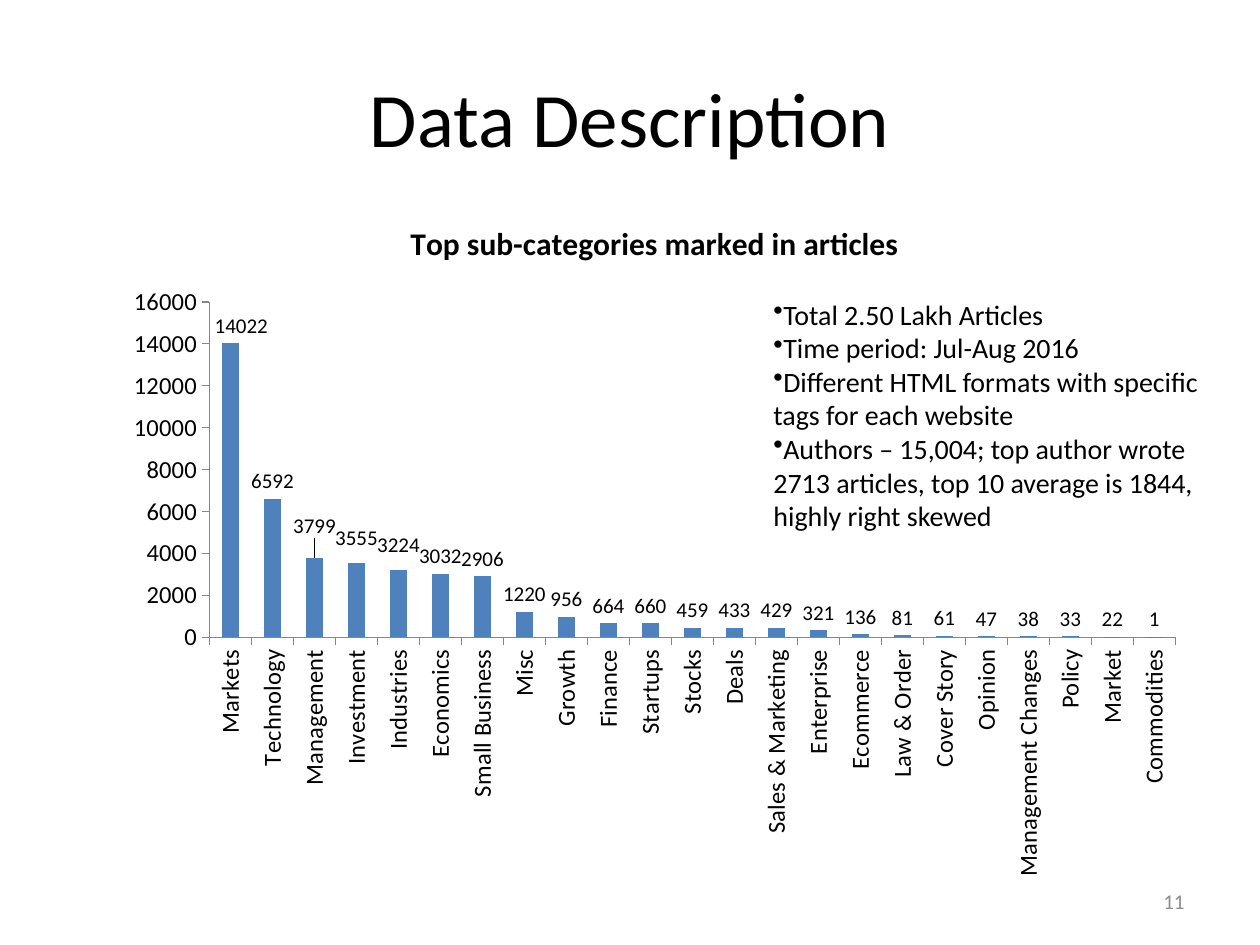
import dataclasses

import lxml.etree
import pptx
import pptx.chart.data
import pptx.dml.color
import pptx.enum.chart
import pptx.enum.text
import pptx.oxml.ns
import pptx.util

Inches = pptx.util.Inches
Align = pptx.enum.text.PP_ALIGN
Anchor = pptx.enum.text.MSO_ANCHOR
Kind = pptx.enum.chart
qn = pptx.oxml.ns.qn

DATA = {
    "Markets": 14022, "Technology": 6592, "Management": 3799,
    "Investment": 3555, "Industries": 3224, "Economics": 3032,
    "Small Business": 2906, "Misc": 1220, "Growth": 956, "Finance": 664,
    "Startups": 660, "Stocks": 459, "Deals": 433, "Sales & Marketing": 429,
    "Enterprise": 321, "Ecommerce": 136, "Law & Order": 81,
    "Cover Story": 61, "Opinion": 47, "Management Changes": 38,
    "Policy": 33, "Market": 22, "Commodities": 1,
}
SHIFTS = {0: (0.01, 0), 2: (0, -0.02), 3: (0, -0.01), 4: (0, -0.01)}
FACTS = [
    "Total 2.50 Lakh Articles",
    "Time period: Jul-Aug 2016",
    "Different HTML formats with specific tags for each website",
    "Authors – 15,004; top author wrote 2713 articles, "
    "top 10 average is 1844, highly right skewed",
]


@dataclasses.dataclass
class Theme:
    """Colours, font and type sizes."""
    font: str = "Calibri"
    ink: str = "000000"
    grey: str = "8C8C8C"
    line: str = "878787"
    bar: str = "4F81BD"
    title: int = 44
    head: int = 18
    body: int = 16
    axis: int = 14
    label: int = 12


def apply(item, values):
    """Set each attribute named in a dict."""
    for name, value in values.items():
        setattr(item, name, value)


class Deck:
    """Hold the theme and the current slide."""

    def __init__(self, theme, slide):
        self.theme = theme
        self.slide = slide

    def style(self, font, size, color=None, bold=False):
        apply(font, {"name": self.theme.font, "size": pptx.util.Pt(size),
                     "bold": bold})
        font.color.rgb = pptx.dml.color.RGBColor.from_string(
            color or self.theme.ink)

    def title(self, text, box):
        shape = self.slide.shapes.title
        apply(shape, dict(zip(("left", "top", "width", "height"),
                              map(Inches, box))))
        shape.text_frame.vertical_anchor = Anchor.MIDDLE
        para = shape.text_frame.paragraphs[0]
        apply(para, {"text": text, "alignment": Align.CENTER})
        self.style(para.runs[0].font, self.theme.title)

    def text(self, lines, box, size, color=None, bullet=None, **form):
        frame = self.slide.shapes.add_textbox(*map(Inches, box)).text_frame
        apply(frame, {"word_wrap": True,
                      "vertical_anchor": form.get("anchor", Anchor.TOP)})
        frame.text = "\n".join(lines)
        for para in frame.paragraphs:
            para.alignment = form.get("align", Align.LEFT)
            self.style(para.runs[0].font, size, color)
            if bullet:
                props = para._p.get_or_add_pPr()
                lxml.etree.SubElement(props, qn("a:buChar"), char=bullet)

    def axis(self, axis, **values):
        apply(axis, {"has_major_gridlines": False,
                     "major_tick_mode": None} | values)
        self.style(axis.tick_labels.font, self.theme.axis)
        axis.format.line.color.rgb = pptx.dml.color.RGBColor.from_string(
            self.theme.line)

    def shift(self, chart, moves):
        for index, move in moves.items():
            label = chart.plots[0].series[0].points[index].data_label
            self.style(label.font, self.theme.label)
            mark = chart.element.xpath(
                f".//c:dLbl/c:idx[@val='{index}']")[0]
            layout = lxml.etree.Element(qn("c:layout"))
            manual = lxml.etree.SubElement(layout, qn("c:manualLayout"))
            for name, value in zip("xy", move):
                lxml.etree.SubElement(manual, qn("c:" + name),
                                      val=str(value))
            mark.addnext(layout)

    def chart(self, title, data, box, moves):
        source = pptx.chart.data.CategoryChartData()
        source.categories = list(data)
        source.add_series("Series 1", list(data.values()))
        chart = self.slide.shapes.add_chart(
            Kind.XL_CHART_TYPE.COLUMN_CLUSTERED,
            *map(Inches, box), source).chart
        self.style(chart.font, 10)
        apply(chart, {"has_legend": False, "has_title": True})
        chart.chart_title.text_frame.text = title
        run = chart.chart_title.text_frame.paragraphs[0].runs[0]
        self.style(run.font, self.theme.head, bold=True)
        tick = {"major_tick_mark": Kind.XL_TICK_MARK.OUTSIDE}
        self.axis(chart.category_axis, **tick)
        self.axis(chart.value_axis, minimum_scale=0, maximum_scale=16000,
                  major_unit=2000, **tick)
        body = chart.element.xpath(".//c:catAx/c:txPr/a:bodyPr")[0]
        apply_xml = {"rot": "-5400000", "vert": "horz"}
        for name, value in apply_xml.items():
            body.set(name, value)
        apply(chart.plots[0], {"gap_width": 150, "vary_by_categories": False})
        series = chart.plots[0].series[0]
        series.format.fill.solid()
        series.format.fill.fore_color.rgb = (
            pptx.dml.color.RGBColor.from_string(self.theme.bar))
        labels = series.data_labels
        apply(labels, {"show_value": True,
                       "position": Kind.XL_LABEL_POSITION.OUTSIDE_END})
        self.style(labels.font, self.theme.label)
        self.shift(chart, moves)


def main():
    """Build the slide."""
    show = pptx.Presentation()
    apply(show, {"slide_width": Inches(10), "slide_height": Inches(7.5)})
    theme = Theme()
    deck = Deck(theme, show.slides.add_slide(show.slide_layouts[5]))
    deck.title("Data Description", (0.5, 0.3, 9, 1.25))
    deck.text(["11"], (7.17, 6.95, 2.33, 0.4), theme.label, theme.grey,
              align=Align.RIGHT, anchor=Anchor.MIDDLE)
    deck.chart("Top sub-categories marked in articles", DATA,
               (0.89, 1.55, 8.61, 5.52), SHIFTS)
    deck.text(FACTS, (6.04, 2.31, 3.61, 1.99), theme.body, bullet="•")
    show.save("out.pptx")


if __name__ == "__main__":
    main()
